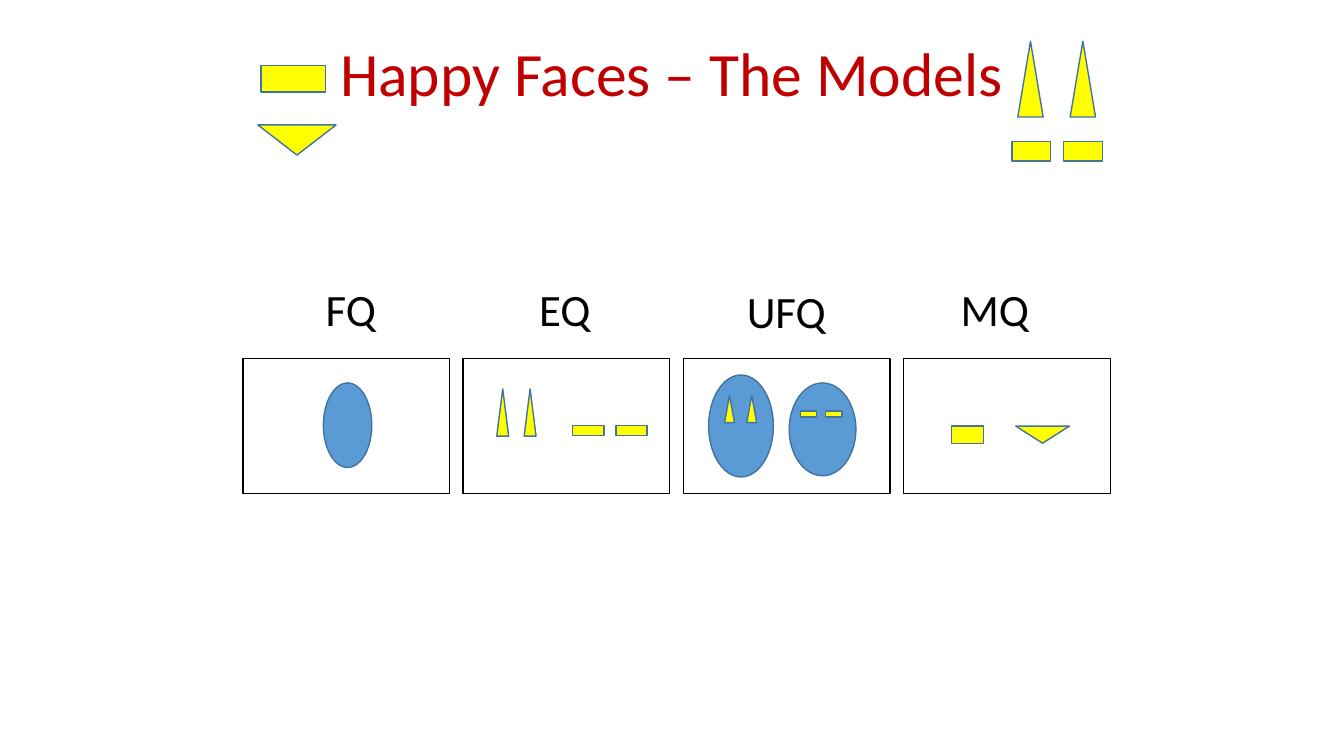
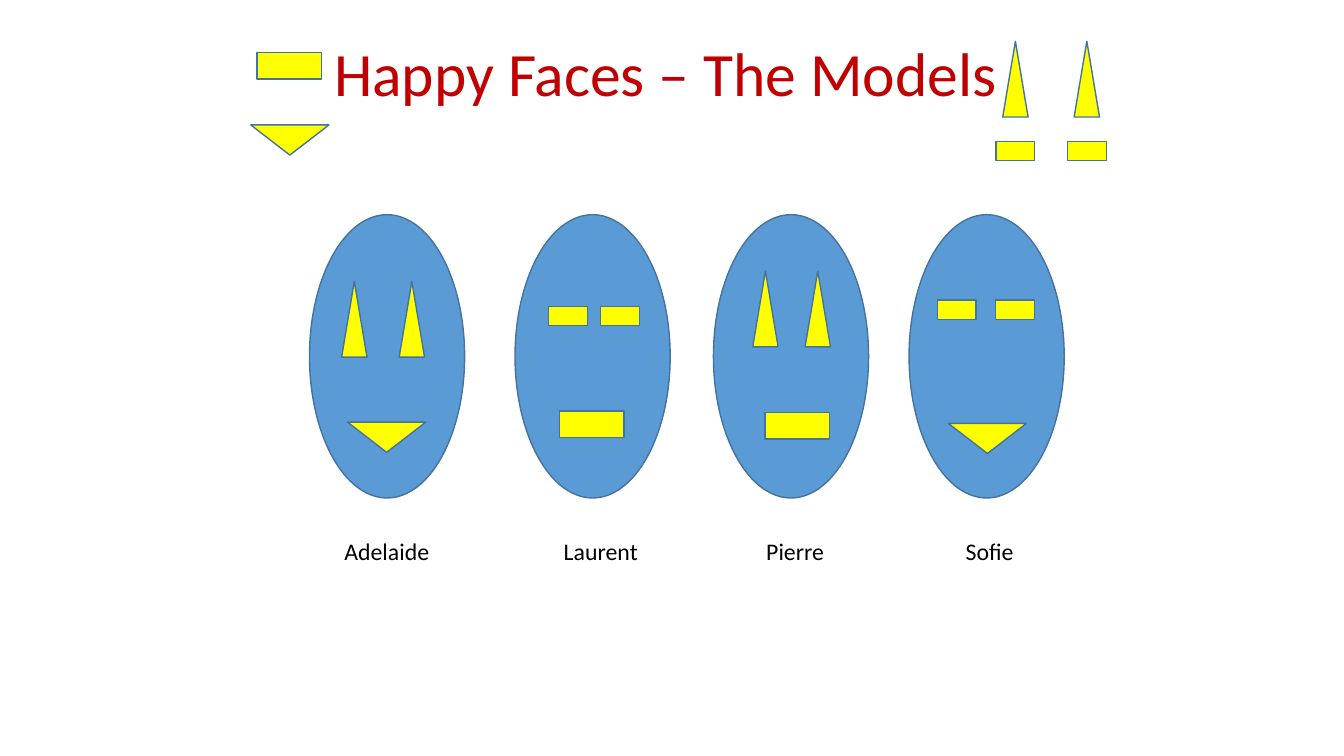
from dataclasses import dataclass

from pptx import Presentation
from pptx.dml.color import RGBColor
from pptx.enum.shapes import MSO_SHAPE as Shape
from pptx.enum.text import MSO_AUTO_SIZE as AutoSize, PP_ALIGN as Align
from pptx.oxml.ns import qn
from pptx.util import Cm, Pt

FONT = "Calibri"
BLUE, YELLOW, OUTLINE = "5B9BD5", "FFFF00", "43739E"
RED, BLACK = "C00000", "000000"
OVAL, BAR, SPIKE = Shape.OVAL, Shape.RECTANGLE, Shape.ISOSCELES_TRIANGLE


@dataclass(frozen=True)
class Part:
    """A face part in cm; a positive step adds a twin to its right."""
    kind: Shape
    left: float
    top: float
    width: float
    height: float
    step: float = 0
    fill: str = YELLOW
    flip: bool = False


@dataclass(frozen=True)
class Label:
    text: str
    left: float
    top: float


@dataclass(frozen=True)
class Face:
    left: float
    eyes: Part
    mouth: Part
    name: Label


# Face parts at their usual sizes
def head(left: float, top: float, width: float, height: float) -> Part:
    return Part(OVAL, left, top, width, height, fill=BLUE)


def tall_eyes(left: float, top: float, step: float) -> Part:
    return Part(SPIKE, left, top, 0.64, 1.91, step)


def wide_eyes(left: float, top: float, step: float) -> Part:
    return Part(BAR, left, top, 0.98, 0.49, step)


def flat_mouth(left: float, top: float) -> Part:
    return Part(BAR, left, top, 1.63, 0.67)


def smile(left: float, top: float, width: float = 1.97,
          height: float = 0.76) -> Part:
    return Part(SPIKE, left, top, width, height, flip=True)


# Drawing helpers
def rgb(value: str) -> RGBColor:
    return RGBColor.from_string(value)


def add_part(shapes, part: Part) -> None:
    lefts = [part.left, part.left + part.step] if part.step else [part.left]
    for left in lefts:
        sp = shapes.add_shape(part.kind, Cm(left), Cm(part.top),
                              Cm(part.width), Cm(part.height))
        sp.shadow.inherit = False
        sp.fill.solid()
        sp.fill.fore_color.rgb = rgb(part.fill)
        sp.line.color.rgb = rgb(OUTLINE)
        sp.line.width = Pt(1)
        if part.flip:
            sp.element.spPr.find(qn("a:xfrm")).set("flipV", "1")


def add_frame(s, left: float, top: float, width: float, height: float) -> None:
    sp = s.shapes.add_shape(BAR, Cm(left), Cm(top), Cm(width), Cm(height))
    sp.shadow.inherit = False
    sp.fill.background()
    sp.line.color.rgb = rgb(BLACK)
    sp.line.width = Pt(1)


def add_text(s, label: Label, width: float, height: float, size: float,
             color: str = BLACK, align: Align = Align.CENTER,
             grow: bool = False) -> None:
    sp = s.shapes.add_textbox(Cm(label.left), Cm(label.top),
                              Cm(width), Cm(height))
    tf = sp.text_frame
    tf.text = label.text
    tf.word_wrap = True
    tf.auto_size = AutoSize.SHAPE_TO_FIT_TEXT if grow else AutoSize.NONE
    tf.margin_left = tf.margin_right = Cm(0.23)
    tf.margin_top = tf.margin_bottom = Cm(0.11)
    p = tf.paragraphs[0]
    p.alignment = align
    r = p.runs[0]
    r.font.name = FONT
    r.font.size = Pt(size)
    r.font.color.rgb = rgb(color)


def add_titled_slide(prs, title_left: float, ornaments: list[Part]):
    s = prs.slides.add_slide(prs.slide_layouts[6])
    for part in ornaments:
        add_part(s.shapes, part)
    add_text(s, Label("Happy Faces – The Models", title_left, 0.76),
             20.7, 1.9, 44, RED)
    return s


# Slide 1: the four questions
QUESTION_TITLE = [flat_mouth(6.58, 1.65), smile(6.5, 3.15),
                  tall_eyes(25.65, 1.04, 1.32), wide_eyes(25.5, 3.57, 1.3)]
QUESTIONS = [Label("FQ", 7.98, 6.99), Label("EQ", 13.36, 6.99),
             Label("UFQ", 18.59, 7.04), Label("MQ", 23.98, 6.99)]
QUESTION_PARTS = [
    head(8.15, 9.65, 1.22, 2.13),
    Part(SPIKE, 12.52, 9.8, 0.3, 1.19, 0.69),
    Part(BAR, 14.43, 10.73, 0.79, 0.25, 1.09),
    Part(BAR, 23.98, 10.74, 0.81, 0.43),
    smile(25.6, 10.74, 1.35, 0.43),
]
SMALL_FACES = [
    [head(17.86, 9.45, 1.63, 2.57), Part(SPIKE, 18.26, 9.96, 0.25, 0.69, 0.56)],
    [head(19.89, 9.65, 1.68, 2.34), Part(BAR, 20.17, 10.36, 0.41, 0.15, 0.64)],
]


def build_questions(prs) -> None:
    s = add_titled_slide(prs, 6.58, QUESTION_TITLE)
    for part in QUESTION_PARTS:
        add_part(s.shapes, part)
    for parts in SMALL_FACES:
        group = s.shapes.add_group_shape()
        for part in parts:
            add_part(group.shapes, part)
    for i, label in enumerate(QUESTIONS):
        add_frame(s, 6.12 + i * 5.55, 9.04, 5.21, 3.4)
        add_text(s, label, 2.67, 1.6, 32, align=Align.LEFT, grow=True)


# Slide 2: the four faces
FACE_TITLE = [flat_mouth(6.48, 1.32), smile(6.32, 3.15),
              tall_eyes(25.27, 1.04, 1.8), wide_eyes(25.1, 3.56, 1.8)]
NAME_TOP = 13.41
FACES = [
    Face(7.8, tall_eyes(8.61, 7.09, 1.45), smile(8.76, 10.64),
         Label("Adelaide", 8.43, NAME_TOP)),
    Face(12.98, wide_eyes(13.82, 7.72, 1.32), flat_mouth(14.1, 10.36),
         Label("Laurent", 13.82, NAME_TOP)),
    Face(17.98, tall_eyes(18.97, 6.83, 1.32), flat_mouth(19.28, 10.39),
         Label("Pierre", 18.72, NAME_TOP)),
    Face(22.91, wide_eyes(23.62, 7.56, 1.47), smile(23.9, 10.67),
         Label("Sofie", 23.62, NAME_TOP)),
]


def build_faces(prs) -> None:
    s = add_titled_slide(prs, 6.43, FACE_TITLE)
    for face in FACES:
        for part in (head(face.left, 5.41, 3.91, 7.14), face.eyes, face.mouth):
            add_part(s.shapes, part)
        add_text(s, face.name, 2.64, 1.12, 17)


def main() -> None:
    prs = Presentation()
    prs.slide_width, prs.slide_height = Cm(33.87), Cm(19.05)
    build_questions(prs)
    build_faces(prs)
    prs.save("out.pptx")


if __name__ == "__main__":
    main()
